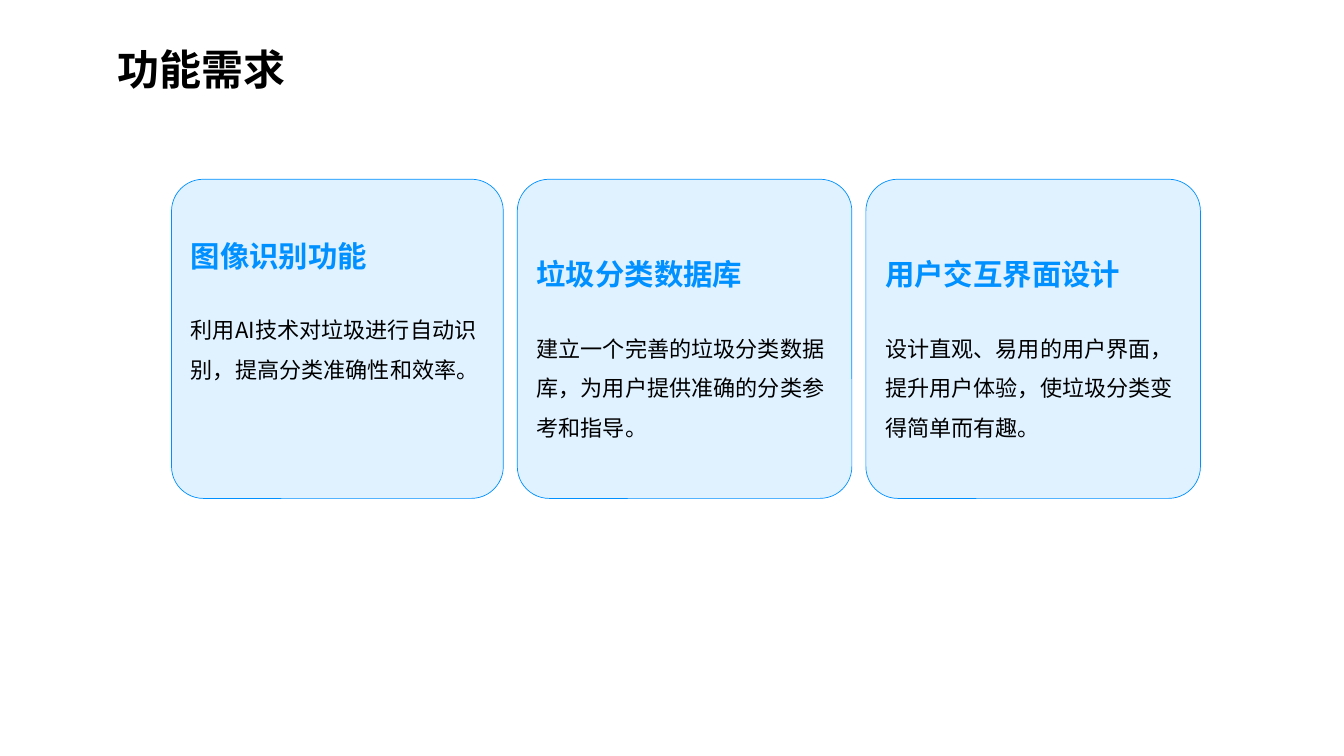
import pptx
import pptx.dml.color
import pptx.enum.shapes
import pptx.enum.text
import pptx.oxml.ns
import pptx.util
import lxml.etree

Pt = pptx.util.Pt
FONT = "Noto Sans CJK SC"
BLUE = "0090FF"
BLACK = "000000"


def color(hex_code):
    return pptx.dml.color.RGBColor.from_string(hex_code)


def format_paragraph(paragraph, size, hex_code, bold, line_height):
    """Apply one style, including the East Asian font, to a left-aligned paragraph."""
    paragraph.alignment = pptx.enum.text.PP_ALIGN.LEFT
    paragraph.line_spacing = Pt(line_height)
    font = paragraph.font
    font.size = Pt(size)
    font.bold = bold
    font.color.rgb = color(hex_code)
    font.name = FONT
    latin = paragraph._p.find(".//" + pptx.oxml.ns.qn("a:latin"))
    east_asian = lxml.etree.Element(pptx.oxml.ns.qn("a:ea"), typeface=FONT)
    latin.addnext(east_asian)


presentation = pptx.Presentation()
presentation.slide_width = Pt(960)
presentation.slide_height = Pt(540)
slide = presentation.slides.add_slide(presentation.slide_layouts[5])

title = slide.shapes.title
title.left, title.top, title.width, title.height = Pt(77), Pt(11.5), Pt(738), Pt(55.5)
title.text_frame.text = "功能需求"
title.text_frame.margin_top = title.text_frame.margin_bottom = 0
title.text_frame.vertical_anchor = pptx.enum.text.MSO_ANCHOR.MIDDLE
format_paragraph(title.text_frame.paragraphs[0], 30, BLACK, True, 55)

# Card width, space above the heading, heading, description
features = [
    (237, 39, "图像识别功能", "利用AI技术对垃圾进行自动识别，提高分类准确性和效率。"),
    (239, 52, "垃圾分类数据库", "建立一个完善的垃圾分类数据库，为用户提供准确的分类参考和指导。"),
    (239, 52, "用户交互界面设计", "设计直观、易用的用户界面，提升用户体验，使垃圾分类变得简单而有趣。"),
]
CARD_TOP, CARD_HEIGHT, CARD_GAP = 128, 228, 10
CORNER = 0.1
# The rounded corners already push the text area inwards
corner_inset = CARD_HEIGHT * CORNER * 0.29

card_left = 122.5
for card_width, heading_offset, heading, description in features:
    card = slide.shapes.add_shape(
        pptx.enum.shapes.MSO_SHAPE.ROUNDED_RECTANGLE,
        Pt(card_left), Pt(CARD_TOP), Pt(card_width), Pt(CARD_HEIGHT))
    card.adjustments[0] = CORNER
    card.shadow.inherit = False
    card.fill.solid()
    card.fill.fore_color.rgb = color("E0F2FF")
    card.line.color.rgb = color(BLUE)
    card.line.width = Pt(0.5)

    frame = card.text_frame
    frame.word_wrap = True
    frame.vertical_anchor = pptx.enum.text.MSO_ANCHOR.TOP
    frame.margin_top = Pt(heading_offset - corner_inset)
    frame.text = heading
    format_paragraph(frame.paragraphs[0], 21, BLUE, True, 28)
    body = frame.add_paragraph()
    body.text = description
    body.space_before = Pt(22)
    format_paragraph(body, 15.8, BLACK, False, 28.2)

    card_left += card_width + CARD_GAP

presentation.save("out.pptx")
